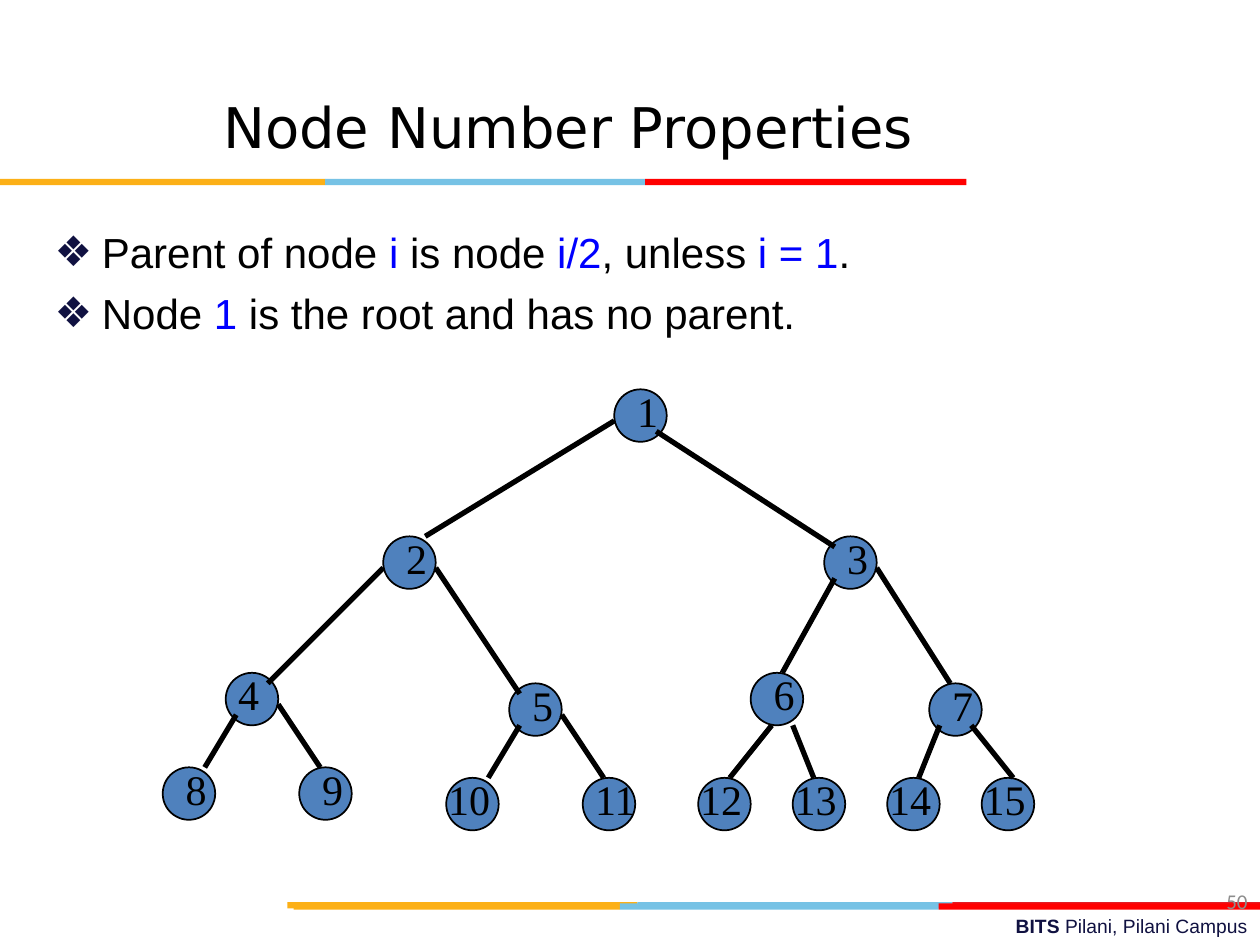
from dataclasses import dataclass

from lxml import etree
from pptx import Presentation
from pptx.dml.color import RGBColor
from pptx.enum import shapes, text
from pptx.oxml import ns
from pptx.util import Pt


@dataclass(frozen=True)
class Theme:
    navy: str = "101141"
    black: str = "000000"
    accent: str = "0000FF"
    grey: str = "8C8C8C"
    node: str = "4F81BD"
    gold: str = "FCB017"
    sky: str = "76C2E5"
    crimson: str = "E31C24"
    red: str = "FF0000"
    title_font: str = "DejaVu Sans"
    body_font: str = "Arial"
    node_font: str = "Times New Roman"
    number_font: str = "Calibri"
    title_size: float = 32
    body_size: float = 24
    number_size: float = 12
    footer_size: float = 11


T = Theme()
NODE = 30
BAND = 3.6

# number: (left, top, label shift, edge start on the parent, edge end on this node)
NODES = {
    1: (351, 222.5, 6, None, None),
    2: (219, 306.5, 6, (0, 18), (24, 0)),
    3: (471, 306.5, 6, (24, 24), (6, 6)),
    4: (129, 384.5, 0, (0, 18), (24, 6)),
    5: (291, 390.5, 6, (30, 18), (6, 6)),
    6: (429, 384.5, 6, (6, 24), (18, 0)),
    7: (531, 390.5, 6, (30, 18), (12, 0)),
    8: (93, 438.5, 6, (6, 24), (24, 0)),
    9: (171, 438.5, 6, (30, 18), (12, 0)),
    10: (255, 444.5, -6, (6, 24), (24, 0)),
    11: (333, 444.5, 0, (30, 18), (12, 0)),
    12: (399, 444.5, -6, (12, 30), (18, 0)),
    13: (453, 444.5, -6, (24, 30), (12, 0)),
    14: (507, 444.5, -6, (6, 24), (18, 0)),
    15: (561, 444.5, -6, (24, 24), (18, 0)),
}


def rgb(color):
    return RGBColor.from_string(color)


def add_run(p, content, *, font, size, color=T.black, bold=False):
    r = p.add_run()
    r.text = content
    r.font.name, r.font.size, r.font.bold = font, Pt(size), bold
    r.font.color.rgb = rgb(color)


def set_bullet(p, char, color, indent):
    pPr = p._p.get_or_add_pPr()
    pPr.set("marL", str(Pt(indent)))
    pPr.set("indent", str(-Pt(indent)))
    bu_color = etree.SubElement(pPr, ns.qn("a:buClr"))
    etree.SubElement(bu_color, ns.qn("a:srgbClr"), val=color)
    etree.SubElement(pPr, ns.qn("a:buChar"), char=char)


class SlideBuilder:
    def __init__(self, s, theme):
        self.s, self.t = s, theme

    def place(self, sp, left, top, width, height):
        sp.left, sp.top, sp.width, sp.height = map(Pt, (left, top, width, height))
        sp.text_frame.auto_size = text.MSO_AUTO_SIZE.NONE
        return sp.text_frame

    def title(self, content, *box):
        tf = self.place(self.s.shapes.title, *box)
        tf.vertical_anchor = text.MSO_ANCHOR.MIDDLE
        p = tf.paragraphs[0]
        p.alignment = text.PP_ALIGN.CENTER
        add_run(p, content, font=self.t.title_font, size=self.t.title_size)

    def bullets(self, items, *box):
        """Each item is a list of pieces; every second piece is accented."""
        tf = self.place(self.s.placeholders[1], *box)
        for i, pieces in enumerate(items):
            p = tf.add_paragraph() if i else tf.paragraphs[0]
            set_bullet(p, "❖", self.t.navy, 27)
            p.space_before = Pt(6 if i else 0)
            for j, piece in enumerate(pieces):
                add_run(p, piece, font=self.t.body_font, size=self.t.body_size,
                        color=self.t.accent if j % 2 else self.t.black)

    def text(self, *box, align=text.PP_ALIGN.LEFT, anchor=text.MSO_ANCHOR.TOP):
        """Add an empty text box and return its first paragraph."""
        tf = self.s.shapes.add_textbox(*map(Pt, box)).text_frame
        tf.word_wrap = True
        tf.vertical_anchor = anchor
        tf.paragraphs[0].alignment = align
        return tf.paragraphs[0]

    def shape(self, kind, *box, fill, line=None):
        sp = self.s.shapes.add_shape(kind, *map(Pt, box))
        sp.shadow.inherit = False
        sp.fill.solid()
        sp.fill.fore_color.rgb = rgb(fill)
        if line:
            sp.line.color.rgb = rgb(line)
            sp.line.width = Pt(1)
        else:
            sp.line.fill.background()

    def stripe(self, top, edges, colors):
        for left, right, color in zip(edges, edges[1:], colors):
            self.shape(shapes.MSO_SHAPE.RECTANGLE, left, top, right - left, BAND, fill=color)

    def line(self, start, end):
        c = self.s.shapes.add_connector(shapes.MSO_CONNECTOR.STRAIGHT, *map(Pt, (*start, *end)))
        c.line.color.rgb = rgb(self.t.black)
        c.line.width = Pt(3)
        etree.SubElement(c._element.spPr, ns.qn("a:effectLst"))

    def tree(self, nodes):
        for left, top, *_ in nodes.values():
            self.shape(shapes.MSO_SHAPE.OVAL, left, top, NODE, NODE,
                       fill=self.t.node, line=self.t.black)
        for number, (left, top, _, start, end) in nodes.items():
            if start:
                px, py = nodes[number // 2][:2]
                self.line((px + start[0], py + start[1]), (left + end[0], top + end[1]))
        for number, (left, top, shift, *_) in nodes.items():
            p = self.text(left + shift, top - 6, 24 * len(str(number)), 36)
            add_run(p, str(number), font=self.t.node_font, size=self.t.body_size)


def main():
    prs = Presentation()
    prs.slide_width, prs.slide_height = Pt(720), Pt(540)
    b = SlideBuilder(prs.slides.add_slide(prs.slide_layouts[1]), T)

    p = b.text(257.8, 519.1, 462.2, 20.9, align=text.PP_ALIGN.RIGHT)
    for content, bold in (("BITS ", True), ("Pilani, Pilani Campus", False)):
        add_run(p, content, font=T.body_font, size=T.footer_size, color=T.navy, bold=bold)

    b.stripe(515.5, (164.2, 364.3, 544.3, 720), (T.gold, T.sky, T.crimson))
    b.stripe(516.2, (167.8, 354.2, 536.4, 720), (T.gold, T.sky, T.red))
    b.stripe(102.2, (0, 185.8, 368.6, 552.2), (T.gold, T.sky, T.red))

    b.bullets([
        ["Parent of node ", "i", " is node ", "i/2", ", unless ", "i = 1", "."],
        ["Node ", "1", " is the root and has no parent."],
    ], 24, 126, 648, 356.4)
    b.title("Node Number Properties ", 24, 36, 612, 72)

    p = b.text(552.2, 500.4, 167.8, 28.8, align=text.PP_ALIGN.RIGHT, anchor=text.MSO_ANCHOR.MIDDLE)
    add_run(p, "50", font=T.number_font, size=T.number_size, color=T.grey)

    b.tree(NODES)
    prs.save("out.pptx")


if __name__ == "__main__":
    main()
